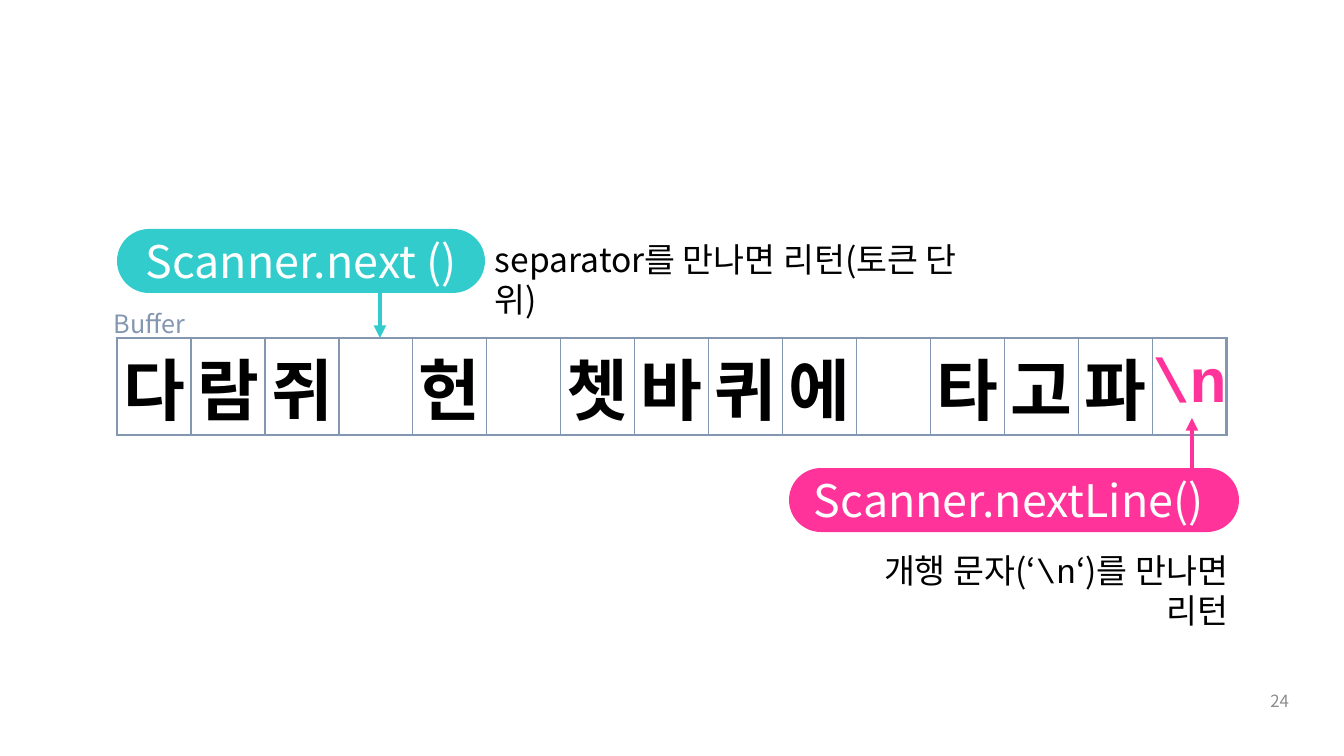
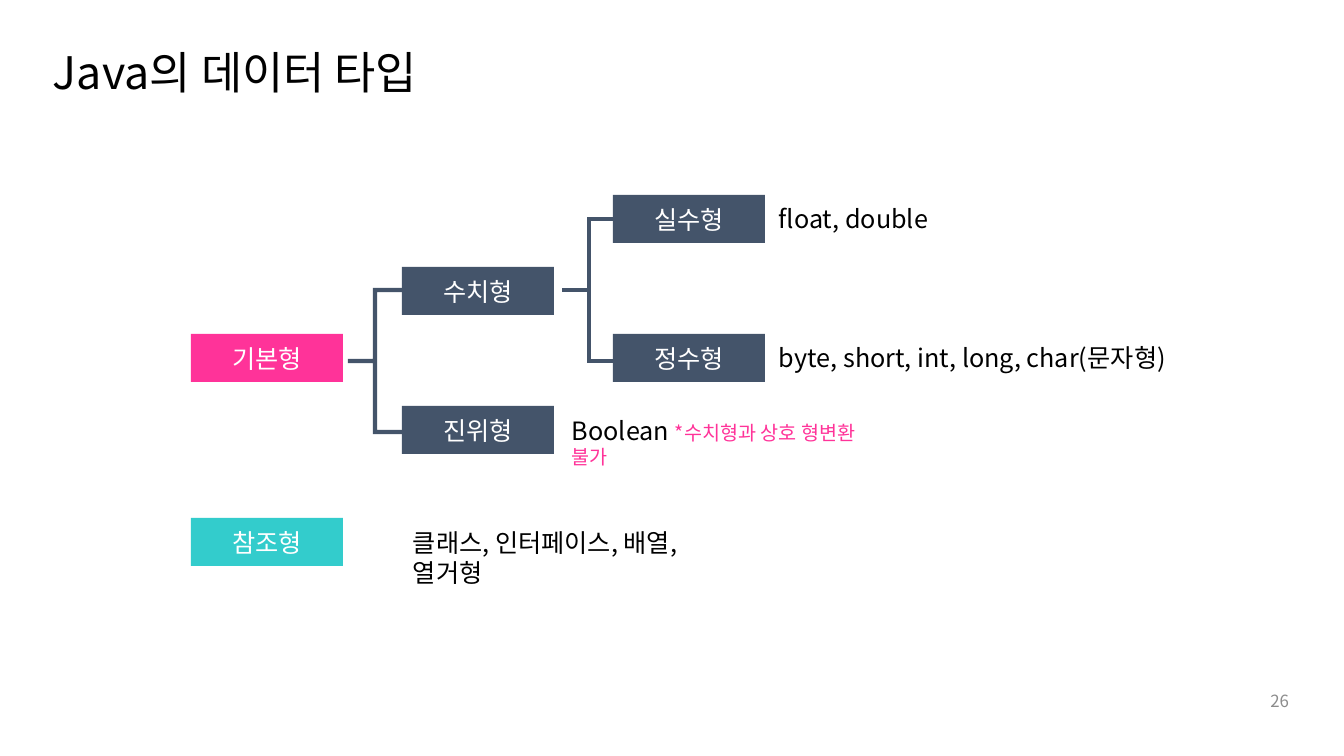
from lxml import etree
from pptx import Presentation
from pptx.dml.color import RGBColor
from pptx.enum.shapes import MSO_CONNECTOR, MSO_SHAPE
from pptx.enum.text import MSO_ANCHOR, PP_ALIGN
from pptx.oxml.ns import qn
from pptx.util import Emu, Pt

RECT, PILL, BRACE = MSO_SHAPE.RECTANGLE, MSO_SHAPE.ROUNDED_RECTANGLE, MSO_SHAPE.LEFT_BRACE
LINE = MSO_CONNECTOR.STRAIGHT
LEFT, MID, RIGHT = PP_ALIGN.LEFT, PP_ALIGN.CENTER, PP_ALIGN.RIGHT
TOP, CENTER = MSO_ANCHOR.TOP, MSO_ANCHOR.MIDDLE

SCALE = 914400 / 100.8
SANS, MONO = "Noto Sans CJK KR", "Courier New"
PINK, TEAL, NAVY, STEEL = "FF3399", "33CCCC", "44546A", "8497B0"
BLACK, WHITE, GRAY = "000000", "FFFFFF", "8C8C8C"


def px(*vals):
    """Turn pixels into a list of EMU lengths."""
    return [Emu(round(v * SCALE)) for v in vals]


def rgb(code):
    """Turn a hex string into a colour."""
    return RGBColor.from_string(code)


def style(run, size, color=BLACK, font=SANS, bold=False):
    """Format one run, for Latin and Korean letters alike."""
    run.font.size = Pt(size)
    run.font.bold = bold
    run.font.color.rgb = rgb(color)
    run.font.name = font
    etree.SubElement(run.font._element, qn("a:ea"), typeface=font)


def label(slide, box, runs, align=LEFT, anchor=TOP):
    """Add a text box from (text, size, color, font) runs."""
    frame = slide.shapes.add_textbox(*px(*box)).text_frame
    frame.word_wrap = True
    frame.vertical_anchor = anchor
    para = frame.paragraphs[0]
    para.alignment = align
    for text, *look in runs:
        run = para.add_run()
        run.text = text
        style(run, *look)
    return para


def block(slide, kind, box, fill, text, size):
    """Add a filled shape with centred white text."""
    shape = slide.shapes.add_shape(kind, *px(*box))
    shape.shadow.inherit = False
    shape.fill.solid()
    shape.fill.fore_color.rgb = rgb(fill)
    shape.line.fill.background()
    if kind == PILL:
        shape.adjustments[0] = 0.5
    frame = shape.text_frame
    frame.text = text
    frame.vertical_anchor = CENTER
    para = frame.paragraphs[0]
    para.alignment = MID
    style(para.runs[0], size, WHITE)


def brace(slide, x, y):
    """Add a square bracket that joins a type to its two kinds."""
    shape = slide.shapes.add_shape(BRACE, *px(x, y, 54, 142))
    shape.shadow.inherit = False
    shape.adjustments[0] = 0
    shape.adjustments[1] = 0.5
    shape.fill.background()
    shape.line.color.rgb = rgb(NAVY)
    shape.line.width = Pt(3)
    etree.SubElement(shape.line._get_or_add_ln(), qn("a:miter"), lim="800000")


def arrow(slide, x, start, end, color):
    """Add an upright arrow from start to end."""
    line = slide.shapes.add_connector(LINE, *px(x, start, x, end))
    line.line.color.rgb = rgb(color)
    line.line.width = Pt(3)
    etree.SubElement(line.line._get_or_add_ln(), qn("a:tailEnd"), type="triangle")
    etree.SubElement(line._element.spPr, qn("a:effectLst"))


def border(cell, widths):
    """Draw the left, right, top and bottom edges of a cell."""
    props = cell._tc.get_or_add_tcPr()
    for spot, (side, width) in enumerate(zip("LRTB", widths)):
        edge = etree.Element(qn("a:ln" + side), w=str(Pt(width)))
        fill = etree.SubElement(edge, qn("a:solidFill"))
        etree.SubElement(fill, qn("a:srgbClr"), val=STEEL)
        props.insert(spot, edge)


def buffer(slide, marks):
    """Add the one-row table with a character in each cell."""
    last = len(marks) - 1
    table = slide.shapes.add_table(1, len(marks), *px(117, 338, 74 * len(marks), 97)).table
    table.first_row = table.horz_banding = False
    for col, mark in enumerate(marks):
        table.columns[col].width = px(74)[0]
        cell = table.cell(0, col)
        cell.fill.background()
        cell.margin_left = cell.margin_right = cell.margin_top = cell.margin_bottom = 0
        cell.vertical_anchor = CENTER
        border(cell, (1 if col else 2.25, 2.25 if col == last else 1, 2.25, 2.25))
        if mark == " ":
            continue
        cell.text = mark
        para = cell.text_frame.paragraphs[0]
        if col == last:
            style(para.runs[0], 44, PINK, MONO, True)
        else:
            para.alignment = MID
            style(para.runs[0], 48, bold=True)


def page(deck, num):
    """Add a blank slide with its number."""
    slide = deck.slides.add_slide(deck.slide_layouts[6])
    label(slide, (997, 681, 302, 40), [(num, 12, GRAY)], RIGHT, CENTER)
    return slide


def scan(deck):
    """Build the slide on the scanner buffer."""
    slide = page(deck, "24")
    buffer(slide, [*"다람쥐 헌 쳇바퀴에 타고파", "\\n"])
    block(slide, PILL, (789, 468, 450, 64), PINK, "Scanner.nextLine() ", 32)
    block(slide, PILL, (117, 229, 368, 64), TEAL, "Scanner.next ()", 32)
    arrow(slide, 380, 284, 338, TEAL)
    arrow(slide, 1192, 468, 418, PINK)
    label(slide, (485, 234, 515, 50), [("separator를 만나면 리턴(토큰 단위)", 24)])
    label(slide, (818, 545, 420, 50),
          [("개행 문자(‘", 24), ("\\n", 24, BLACK, MONO), ("‘)를 만나면 리턴", 24)], RIGHT)
    label(slide, (104, 303, 96, 40), [("Buffer", 18, STEEL)])


def types(deck):
    """Build the slide on the tree of data types."""
    slide = page(deck, "26")
    title = label(slide, (43, 40, 1256, 70), [("Java의 데이터 타입", 32)], anchor=CENTER)
    title.line_spacing = 0.9
    for level, y, fill, text in (
        (0, 518, TEAL, "참조형"), (0, 334, PINK, "기본형"),
        (1, 267, NAVY, "수치형"), (1, 406, NAVY, "진위형"),
        (2, 195, NAVY, "실수형"), (2, 334, NAVY, "정수형"),
    ):
        block(slide, RECT, (191 + 211 * level, y, 152, 48), fill, text, 18)
    brace(slide, 348, 290)
    brace(slide, 562, 219)
    for x, y, wide, runs in (
        (403, 522, 354, [("클래스, 인터페이스, 배열, 열거형", 18)]),
        (562, 410, 334, [("Boolean ", 18), ("*수치형과 상호 형변환 불가", 14, PINK)]),
        (769, 198, 172, [("float, double", 18)]),
        (769, 337, 411, [("byte, short, int, long, char(문자형)", 18)]),
    ):
        label(slide, (x, y, wide, 40), runs)


def main():
    """Build and save the deck."""
    deck = Presentation()
    deck.slide_width, deck.slide_height = px(1344, 756)
    scan(deck)
    types(deck)
    deck.save("out.pptx")


main()
